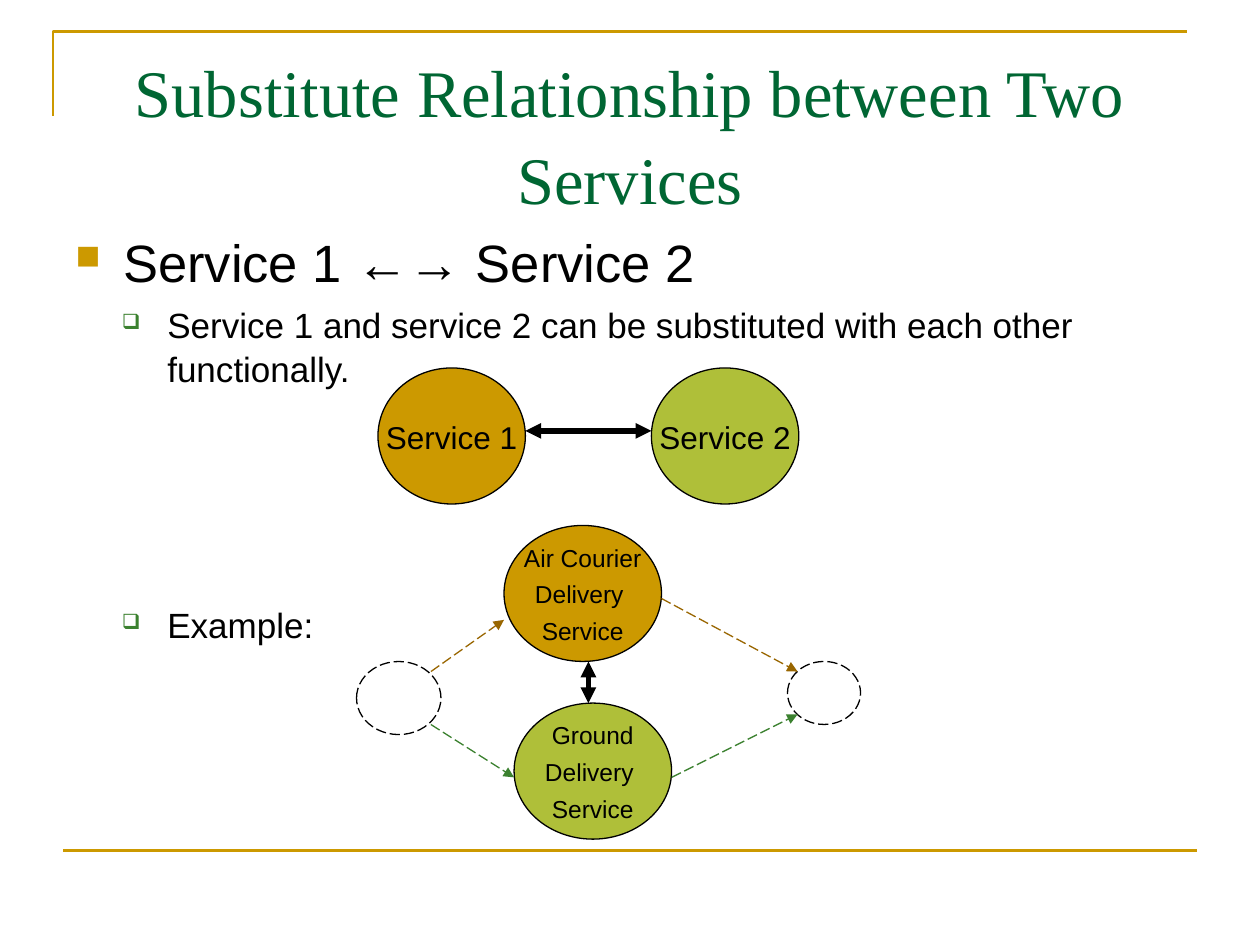
from lxml import etree
from pptx import Presentation
from pptx.dml.color import RGBColor
from pptx.enum.dml import MSO_LINE
from pptx.enum.shapes import MSO_CONNECTOR, MSO_SHAPE
from pptx.enum.text import MSO_ANCHOR, MSO_AUTO_SIZE, PP_ALIGN
from pptx.oxml.ns import qn
from pptx.util import Inches, Pt

GOLD, LIME, BLACK, WHITE = "CC9900", "AFBF39", "000000", "FFFFFF"
BROWN, GREEN, TITLE_GREEN = "996600", "3B812F", "006633"


def color(value):
    return RGBColor.from_string(value)


def set_line(shape, line_color, width, dashed=False):
    shape.line.color.rgb = color(line_color)
    shape.line.width = Pt(width)
    if dashed:
        shape.line.dash_style = MSO_LINE.LONG_DASH


def set_font(paragraph, size, font_color=BLACK, name="Arial", spacing=1.05):
    paragraph.line_spacing = spacing
    paragraph.font.name = name
    paragraph.font.size = Pt(size)
    paragraph.font.color.rgb = color(font_color)


def add_title(slide, text):
    title = slide.shapes.title
    title.left, title.top = Inches(0.5), Inches(0.3)
    title.width, title.height = Inches(9), Inches(1.25)
    frame = title.text_frame
    frame.text = text
    frame.auto_size = MSO_AUTO_SIZE.NONE
    frame.vertical_anchor = MSO_ANCHOR.TOP
    paragraph = frame.paragraphs[0]
    paragraph.alignment = PP_ALIGN.CENTER
    set_font(paragraph, 38, TITLE_GREEN, "Times New Roman", 1.09)


def add_bullet(paragraph, symbol, bullet_color, percent, margin, hanging):
    properties = paragraph._p.get_or_add_pPr()
    properties.set("marL", str(Inches(margin)))
    properties.set("indent", str(-Inches(hanging)))
    holder = etree.SubElement(properties, qn("a:buClr"))
    etree.SubElement(holder, qn("a:srgbClr"), val=bullet_color)
    etree.SubElement(properties, qn("a:buSzPct"), val=str(percent * 1000))
    etree.SubElement(properties, qn("a:buChar"), char=symbol)


def add_body(slide):
    frame = slide.shapes.add_textbox(
        Inches(0.5), Inches(1.75), Inches(9), Inches(4.95)).text_frame
    frame.word_wrap = True
    top_style = ("■", GOLD, 65, 0.38, 0.38)
    sub_style = ("❑", GREEN, 60, 0.73, 0.36)
    items = [
        ("Service 1 ←→ Service 2", top_style, 30, 0),
        ("Service 1 and service 2 can be substituted with each other "
         "functionally.", sub_style, 20, 5),
        ("Example:", sub_style, 20, 121),  # leaves room for the first diagram
    ]
    for index, (text, style, size, space) in enumerate(items):
        paragraph = frame.add_paragraph() if index else frame.paragraphs[0]
        paragraph.text = text
        add_bullet(paragraph, *style)
        if space:
            paragraph.space_before = Pt(space)
        set_font(paragraph, size)


def add_circle(slide, left, top, width, height, fill, lines=(), size=14):
    """Add an ellipse; one without text is a dashed, unnamed service."""
    circle = slide.shapes.add_shape(
        MSO_SHAPE.OVAL, Inches(left), Inches(top), Inches(width), Inches(height))
    circle.shadow.inherit = False
    circle.fill.solid()
    circle.fill.fore_color.rgb = color(fill)
    set_line(circle, BLACK, 0.75, dashed=not lines)
    frame = circle.text_frame
    frame.word_wrap = False
    frame.vertical_anchor = MSO_ANCHOR.MIDDLE
    for index, text in enumerate(lines):
        paragraph = frame.add_paragraph() if index else frame.paragraphs[0]
        paragraph.text = text
        paragraph.alignment = PP_ALIGN.CENTER
        if index:
            paragraph.space_before = Pt(3.5)
        set_font(paragraph, size)


def add_line(slide, start, end, line_color, width, dashed=False, ends=()):
    connector = slide.shapes.add_connector(
        MSO_CONNECTOR.STRAIGHT, *map(Inches, start + end))
    set_line(connector, line_color, width, dashed)
    for end_name in ends:
        etree.SubElement(connector.line._get_or_add_ln(),
                         qn("a:" + end_name), type="triangle")
    etree.SubElement(connector._element.spPr, qn("a:effectLst"))


def add_frame_lines(slide):
    builder = slide.shapes.build_freeform(Inches(0.42), Inches(0.92))
    builder.add_line_segments(
        [(Inches(0.42), Inches(0.25)), (Inches(9.42), Inches(0.25))], close=False)
    corner = builder.convert_to_shape()
    corner.shadow.inherit = False
    corner.fill.background()
    set_line(corner, GOLD, 1.5)
    add_line(slide, (0.5, 6.75), (9.5, 6.75), GOLD, 1.5)


def main():
    presentation = Presentation()
    presentation.slide_width = Inches(10)
    presentation.slide_height = Inches(7.5)
    slide = presentation.slides.add_slide(presentation.slide_layouts[5])

    add_frame_lines(slide)
    add_title(slide, "Substitute Relationship between Two Services")
    add_body(slide)

    # Substitute pair
    add_circle(slide, 3, 2.92, 1.17, 1.08, GOLD, ["Service 1"], 18)
    add_circle(slide, 5.17, 2.92, 1.17, 1.08, LIME, ["Service 2"], 18)

    # Delivery example
    add_circle(slide, 4, 4.17, 1.25, 1.08, GOLD,
               ["Air Courier", "Delivery ", "Service"])
    add_circle(slide, 2.83, 5.25, 0.67, 0.58, WHITE)
    add_circle(slide, 6.25, 5.25, 0.58, 0.5, WHITE)
    add_circle(slide, 4.08, 5.58, 1.25, 1.08, LIME,
               ["Ground", "Delivery ", "Service"])

    # Two-way arrows between substitutes
    for start, end in [((4.17, 3.42), (5.17, 3.42)),
                       ((4.67, 5.25), (4.67, 5.58))]:
        add_line(slide, start, end, BLACK, 3, ends=("headEnd", "tailEnd"))

    # Alternative routes through the example
    for start, end, route_color in [((3.42, 5.33), (4, 4.92), BROWN),
                                    ((5.25, 4.75), (6.33, 5.33), BROWN),
                                    ((3.42, 5.75), (4.08, 6.17), GREEN),
                                    ((5.33, 6.17), (6.33, 5.67), GREEN)]:
        add_line(slide, start, end, route_color, 0.75, True, ("tailEnd",))

    presentation.save("out.pptx")


if __name__ == "__main__":
    main()
